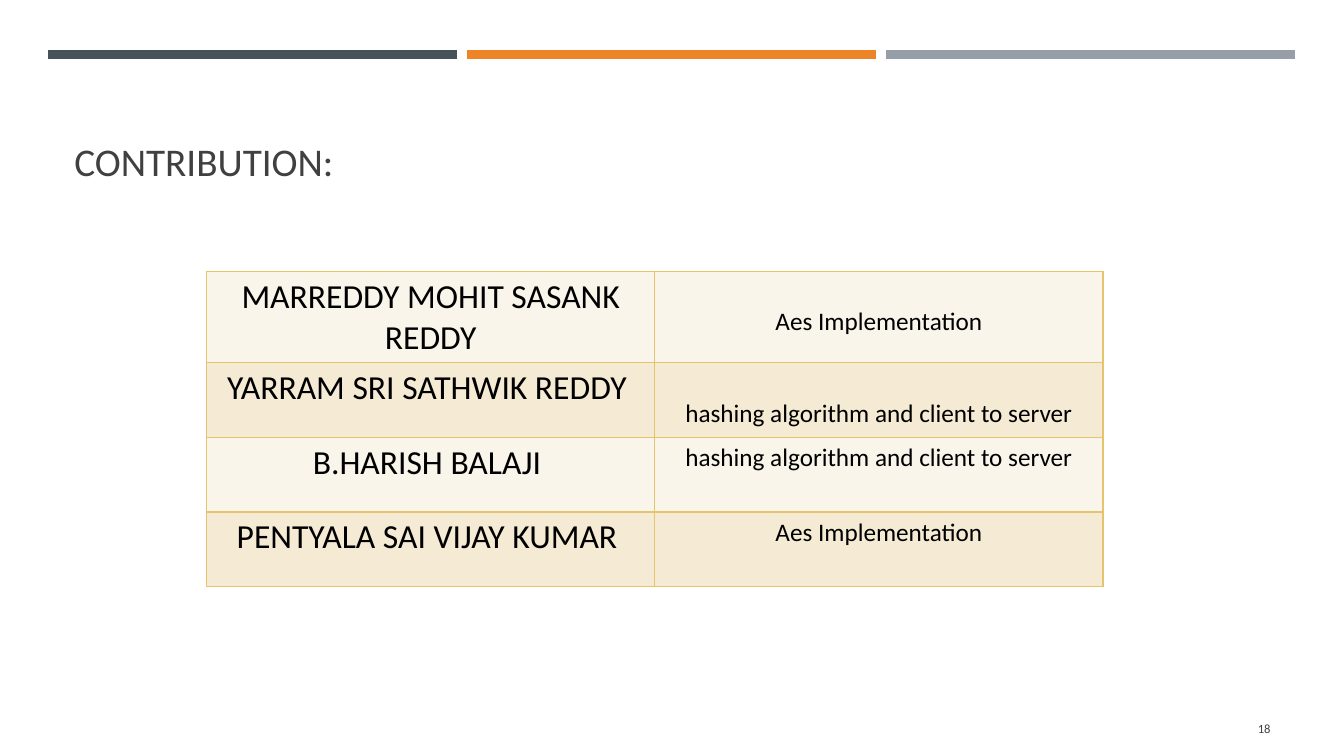
from dataclasses import dataclass

from lxml import etree
from pptx import Presentation
from pptx.dml.color import RGBColor
from pptx.enum.shapes import MSO_CONNECTOR
from pptx.enum.text import MSO_ANCHOR, PP_ALIGN
from pptx.oxml.ns import qn
from pptx.slide import Slide
from pptx.table import _Cell
from pptx.text.text import TextFrame
from pptx.util import Inches, Pt

STRAIGHT = MSO_CONNECTOR.STRAIGHT
MIDDLE, BOTTOM = MSO_ANCHOR.MIDDLE, MSO_ANCHOR.BOTTOM
LEFT, CENTER, RIGHT = PP_ALIGN.LEFT, PP_ALIGN.CENTER, PP_ALIGN.RIGHT

SLATE = RGBColor(0x46, 0x53, 0x59)
ORANGE = RGBColor(0xED, 0x84, 0x28)
GRAY = RGBColor(0x96, 0x9F, 0xA7)
CHARCOAL = RGBColor(0x40, 0x40, 0x40)
BLACK = RGBColor(0, 0, 0)
GOLD = RGBColor(0xE6, 0xC4, 0x6D)
ROW_FILLS = (RGBColor(0xFA, 0xF5, 0xEB), RGBColor(0xF5, 0xEA, 0xD4))

FONT = "Calibri"
BAR_LEFT, BAR_TOP, BAR_WIDTH, BAR_STEP = 0.48, 0.54, 4.05, 4.155
COLUMN_WIDTH = 4.445
TOP_MARGIN, LOWERED_MARGIN = 0.05, 0.35


@dataclass
class Label:
    text: str
    box: tuple[float, float, float, float]
    size: float
    align: PP_ALIGN
    anchor: MSO_ANCHOR


@dataclass
class Contribution:
    member: str
    task: str
    height: float = 0.74
    task_margin: float = TOP_MARGIN


LABELS = [
    Label("CONTRIBUTION:", (0.64, 0.8, 12.06, 1.08), 28, LEFT, BOTTOM),
    Label("18", (11.55, 7.03, 1.15, 0.4), 9, RIGHT, MIDDLE),
]

# The space after a name is part of its centred line
CONTRIBUTIONS = [
    Contribution("MARREDDY MOHIT SASANK REDDY", "Aes Implementation", 0.91, LOWERED_MARGIN),
    Contribution("YARRAM SRI SATHWIK REDDY ", "hashing algorithm and client to server",
                 task_margin=LOWERED_MARGIN),
    Contribution("B.HARISH BALAJI ", "hashing algorithm and client to server"),
    Contribution("PENTYALA SAI VIJAY KUMAR ", "Aes Implementation"),
]


def write(frame: TextFrame, text: str, size: float, color: RGBColor, align: PP_ALIGN) -> None:
    paragraph = frame.paragraphs[0]
    paragraph.text = text
    paragraph.alignment = align
    paragraph.font.name = FONT
    paragraph.font.size = Pt(size)
    paragraph.font.color.rgb = color


def add_bar(slide: Slide, index: int, color: RGBColor) -> None:
    left = BAR_LEFT + index * BAR_STEP
    bar = slide.shapes.add_connector(STRAIGHT, Inches(left), Inches(BAR_TOP),
                                     Inches(left + BAR_WIDTH), Inches(BAR_TOP))
    bar.line.color.rgb = color
    bar.line.width = Pt(6.5)
    etree.SubElement(bar._element.spPr, qn("a:effectLst"))


def add_label(slide: Slide, label: Label) -> None:
    frame = slide.shapes.add_textbox(*map(Inches, label.box)).text_frame
    frame.word_wrap = True
    frame.vertical_anchor = label.anchor
    write(frame, label.text, label.size, CHARCOAL, label.align)


def add_borders(cell: _Cell) -> None:
    properties = cell._tc.get_or_add_tcPr()
    for position, side in enumerate(("a:lnL", "a:lnR", "a:lnT", "a:lnB")):
        border = etree.Element(qn(side), w=str(Pt(1)))
        fill = etree.SubElement(border, qn("a:solidFill"))
        etree.SubElement(fill, qn("a:srgbClr"), val=str(GOLD))
        properties.insert(position, border)


def fill_cell(cell: _Cell, text: str, size: float, fill: RGBColor, margin: float) -> None:
    cell.fill.solid()
    cell.fill.fore_color.rgb = fill
    cell.margin_top = Inches(margin)
    write(cell.text_frame, text, size, BLACK, CENTER)
    add_borders(cell)


def add_contributions(slide: Slide, contributions: list[Contribution]) -> None:
    height = sum(entry.height for entry in contributions)
    table = slide.shapes.add_table(len(contributions), 2, Inches(2.05), Inches(2.69),
                                   Inches(2 * COLUMN_WIDTH), Inches(height)).table
    table.first_row = False
    table.horz_banding = False
    for index, entry in enumerate(contributions):
        table.rows[index].height = Inches(entry.height)
        fill = ROW_FILLS[index % 2]
        fill_cell(table.cell(index, 0), entry.member, 24, fill, TOP_MARGIN)
        fill_cell(table.cell(index, 1), entry.task, 18, fill, entry.task_margin)


def main() -> None:
    deck = Presentation()
    deck.slide_width, deck.slide_height = Inches(13.33), Inches(7.5)
    slide = deck.slides.add_slide(deck.slide_layouts[6])

    # Bars across the top
    for index, color in enumerate((SLATE, ORANGE, GRAY)):
        add_bar(slide, index, color)

    # Title and slide number
    for label in LABELS:
        add_label(slide, label)

    # Who did what
    add_contributions(slide, CONTRIBUTIONS)

    deck.save("out.pptx")


if __name__ == "__main__":
    main()
